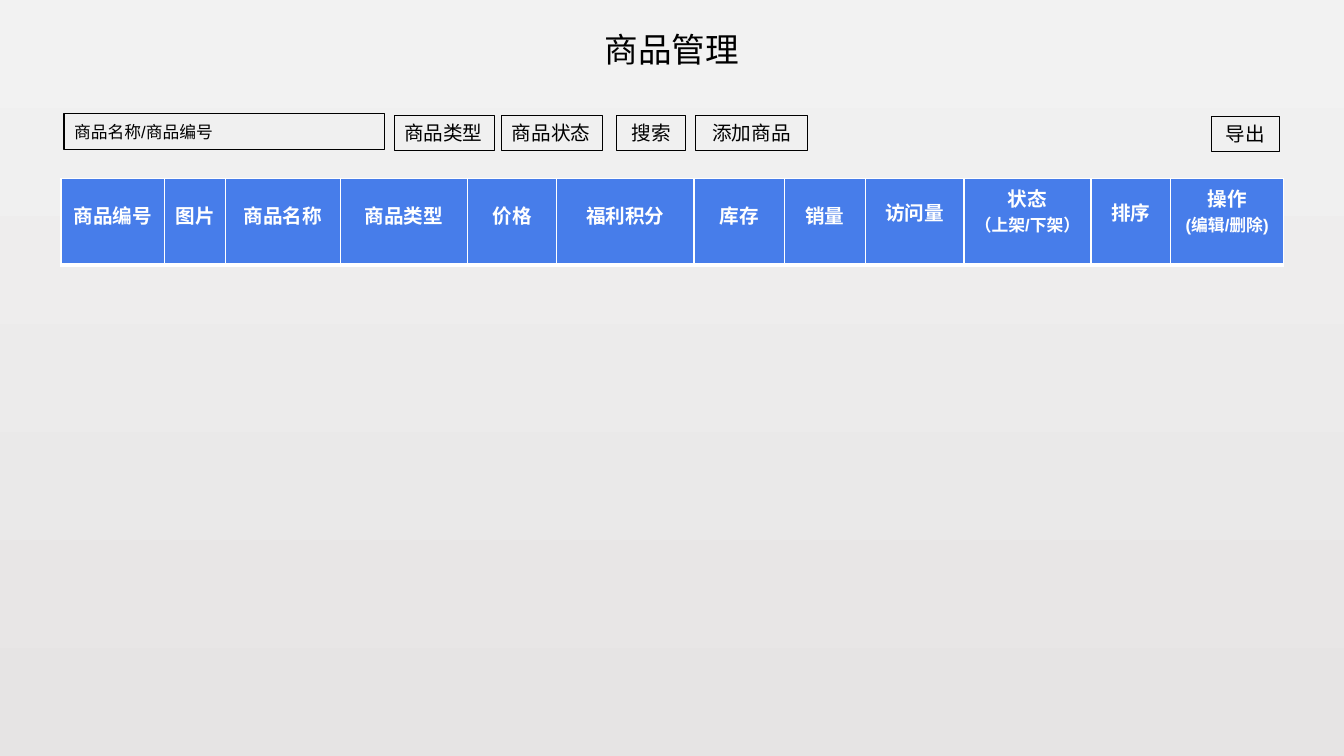
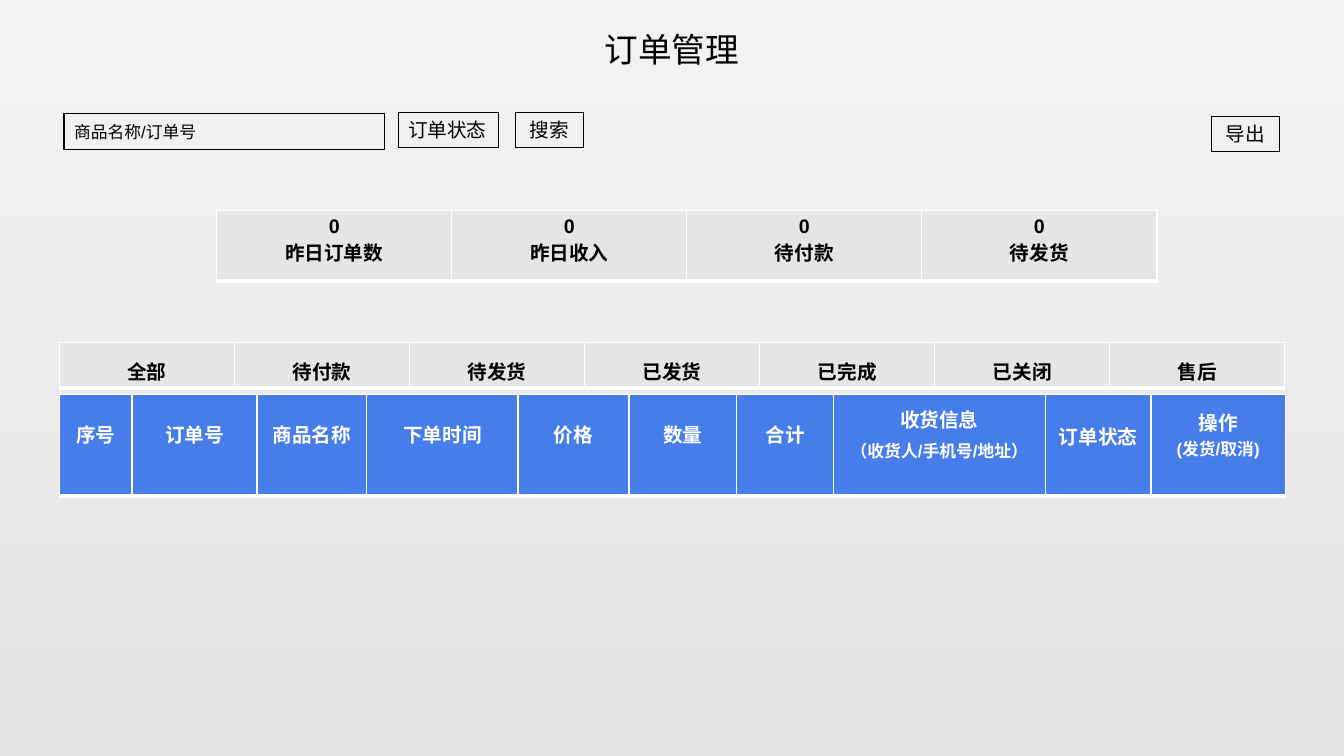
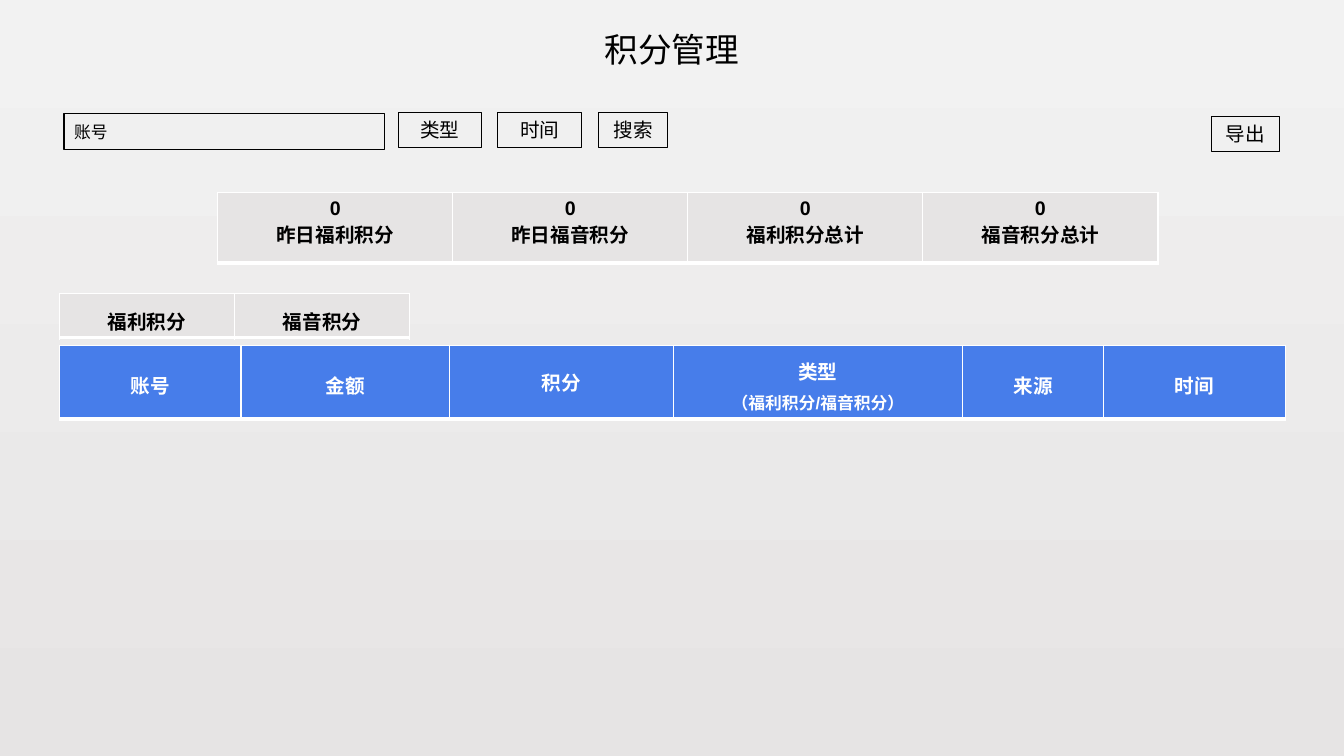
import pptx
import pptx.dml.color
import pptx.enum.shapes
import pptx.enum.text
import pptx.oxml
import pptx.oxml.ns
import pptx.util

ALIGN = pptx.enum.text.PP_ALIGN
ANCHOR = pptx.enum.text.MSO_ANCHOR

# Shared style: the grid cell is a tenth of an inch
CELL = pptx.util.Inches(0.1)
FONT = "Arial"
BLACK, WHITE, BLUE, GREY, LIGHT = "000000", "FFFFFF", "477DEA", "E6E4E4", "F2F2F2"
BORDERS = {"lnL": 1, "lnR": 1, "lnT": 1, "lnB": 3}


def grid(count):
    return round(count * CELL)


def color(value):
    return pptx.dml.color.RGBColor.from_string(value)


def write(paragraph, text, size=14, fill=BLACK, bold=False, align=ALIGN.CENTER, spacing=None):
    paragraph.alignment = align
    if spacing:
        paragraph.line_spacing = spacing
    run = paragraph.add_run()
    run.text = text
    run.font.name = FONT
    run.font.size = pptx.util.Pt(size)
    run.font.bold = bold
    run.font.color.rgb = color(fill)


def line(text, spacing=None, size=14):
    return {"text": text, "spacing": spacing, "size": size}


def note(text, spacing=None):
    return line(text, spacing, size=12)


def border_cell(cell):
    properties = cell._tc.get_or_add_tcPr()
    for position, (side, width) in enumerate(BORDERS.items()):
        border = pptx.oxml.parse_xml(
            f'<a:{side} {pptx.oxml.ns.nsdecls("a")} w="{pptx.util.Pt(width)}">'
            f'<a:solidFill><a:srgbClr val="{WHITE}"/></a:solidFill></a:{side}>')
        properties.insert(position, border)


class Deck:
    def __init__(self):
        self.presentation = pptx.Presentation()
        self.presentation.slide_width = grid(133.33)
        self.presentation.slide_height = grid(75)
        self.slide = None

    def page(self, title, search_hint):
        """Start a slide with the parts that every page has."""
        self.slide = self.presentation.slides.add_slide(self.presentation.slide_layouts[6])
        background = self.slide.background.fill
        background.gradient()
        background.gradient_angle = 270
        for stop, shade in zip(background.gradient_stops, (LIGHT, GREY)):
            stop.color.rgb = color(shade)
        self.title(title)
        self.search_field(search_hint)
        self.button("导出", 120.15, 11.6)

    def title(self, text):
        shape = self.slide.shapes.add_textbox(grid(56.5), grid(2.4), grid(20.3), grid(5))
        self.fit(shape)
        write(shape.text_frame.paragraphs[0], text, size=24)

    def fit(self, shape):
        shape.text_frame.word_wrap = True
        shape.text_frame.auto_size = pptx.enum.text.MSO_AUTO_SIZE.SHAPE_TO_FIT_TEXT

    def box(self, left, top, width, height, weight, anchor):
        shape = self.slide.shapes.add_shape(
            pptx.enum.shapes.MSO_SHAPE.RECTANGLE,
            grid(left), grid(top), grid(width), grid(height))
        shape.shadow.inherit = False
        shape.fill.background()
        shape.line.color.rgb = color(BLACK)
        shape.line.width = pptx.util.Pt(weight)
        shape.text_frame.word_wrap = True
        shape.text_frame.vertical_anchor = anchor
        return shape

    def search_field(self, hint):
        shape = self.box(6.36, 11.24, 31.8, 3.6, 1, ANCHOR.MIDDLE)
        write(shape.text_frame.paragraphs[0], hint, size=12, align=ALIGN.LEFT)

    def button(self, text, left, top, width=6.8, align=ALIGN.CENTER):
        shape = self.box(left, top, width, 3.4, 0.75, ANCHOR.TOP)
        self.fit(shape)
        write(shape.text_frame.paragraphs[0], text, align=align)

    def table(self, left, top, height, columns, fill=GREY, text_fill=BLACK):
        """Draw a one-row table; each column is its width, then its lines."""
        total = sum(width for width, *_ in columns)
        table = self.slide.shapes.add_table(
            1, len(columns), grid(left), grid(top), grid(total), grid(height)).table
        table.horz_banding = False
        for index, (width, *lines) in enumerate(columns):
            table.columns[index].width = grid(width)
            cell = table.cell(0, index)
            cell.fill.solid()
            cell.fill.fore_color.rgb = color(fill)
            border_cell(cell)
            frame = cell.text_frame
            for number, content in enumerate(lines):
                paragraph = frame.add_paragraph() if number else frame.paragraphs[0]
                write(paragraph, fill=text_fill, bold=True, **content)

    def header(self, left, top, height, columns):
        self.table(left, top, height, columns, fill=BLUE, text_fill=WHITE)

    def counters(self, left, top, labels):
        self.table(left, top, 7, [(23.32, line("0"), line(label)) for label in labels])

    def tabs(self, top, height, labels):
        self.table(5.9, top, height, [(17.37, line(label, 1.3)) for label in labels])


deck = Deck()

# Products
deck.page("商品管理", "商品名称/商品编号")
deck.button("商品类型", 39.1, 11.5, 10, ALIGN.LEFT)
deck.button("商品状态", 49.8, 11.5, 10, ALIGN.LEFT)
deck.button("搜索", 61.2, 11.5)
deck.button("添加商品", 69, 11.5, 11.1)
deck.header(6.05, 17.7, 8.6, [
    (10.3, line("商品编号", 1.6)),
    (6, line("图片", 1.6)),
    (11.4, line("商品名称", 1.6)),
    (12.6, line("商品类型", 1.6)),
    (8.9, line("价格", 1.6)),
    (13.6, line("福利积分", 1.6)),
    (9, line("库存", 1.6)),
    (8, line("销量", 1.6)),
    (9.8, line("访问量", 1.5)),
    (12.6, line("状态"), note("（上架/下架）")),
    (7.9, line("排序", 1.5)),
    (11.2, line("操作"), note("(编辑/删除)")),
])

# Orders
deck.page("订单管理", "商品名称/订单号")
deck.button("订单状态", 39.5, 11.2, 10, ALIGN.LEFT)
deck.button("搜索", 51.1, 11.2)
deck.counters(21.5, 20.9, ["昨日订单数", "昨日收入", "待付款", "待发货"])
deck.tabs(34, 4.5, ["全部", "待付款", "待发货", "已发货", "已完成", "已关闭", "售后"])
deck.header(5.9, 39.1, 10.1, [
    (7.2, line("序号", 1.7)),
    (12.4, line("订单号", 1.7)),
    (10.9, line("商品名称", 1.7)),
    (15, line("下单时间", 1.7)),
    (11, line("价格", 1.7)),
    (10.7, line("数量", 1.7)),
    (9.6, line("合计", 1.7)),
    (21, line("收货信息", 1.2), note("（收货人/手机号/地址）", 1.2)),
    (10.5, line("订单状态", 1.8)),
    (13.3, line("操作", 1.3), note("(发货/取消)")),
])

# Points
deck.page("积分管理", "账号")
deck.button("类型", 39.5, 11.2, 8.3)
deck.button("时间", 49.4, 11.2, 8.3)
deck.button("搜索", 59.4, 11.2)
deck.counters(21.6, 19.1, ["昨日福利积分", "昨日福音积分", "福利积分总计", "福音积分总计"])
deck.tabs(29.1, 4.4, ["福利积分", "福音积分"])
deck.header(5.9, 34.3, 7.3, [
    (18, line("账号", 1.7)),
    (20.7, line("金额", 1.7)),
    (22.2, line("积分", 1.6)),
    (28.7, line("类型", 1.2), note("（福利积分/福音积分）", 1.2)),
    (14, line("来源", 1.7)),
    (18, line("时间", 1.7)),
])

deck.presentation.save("out.pptx")
